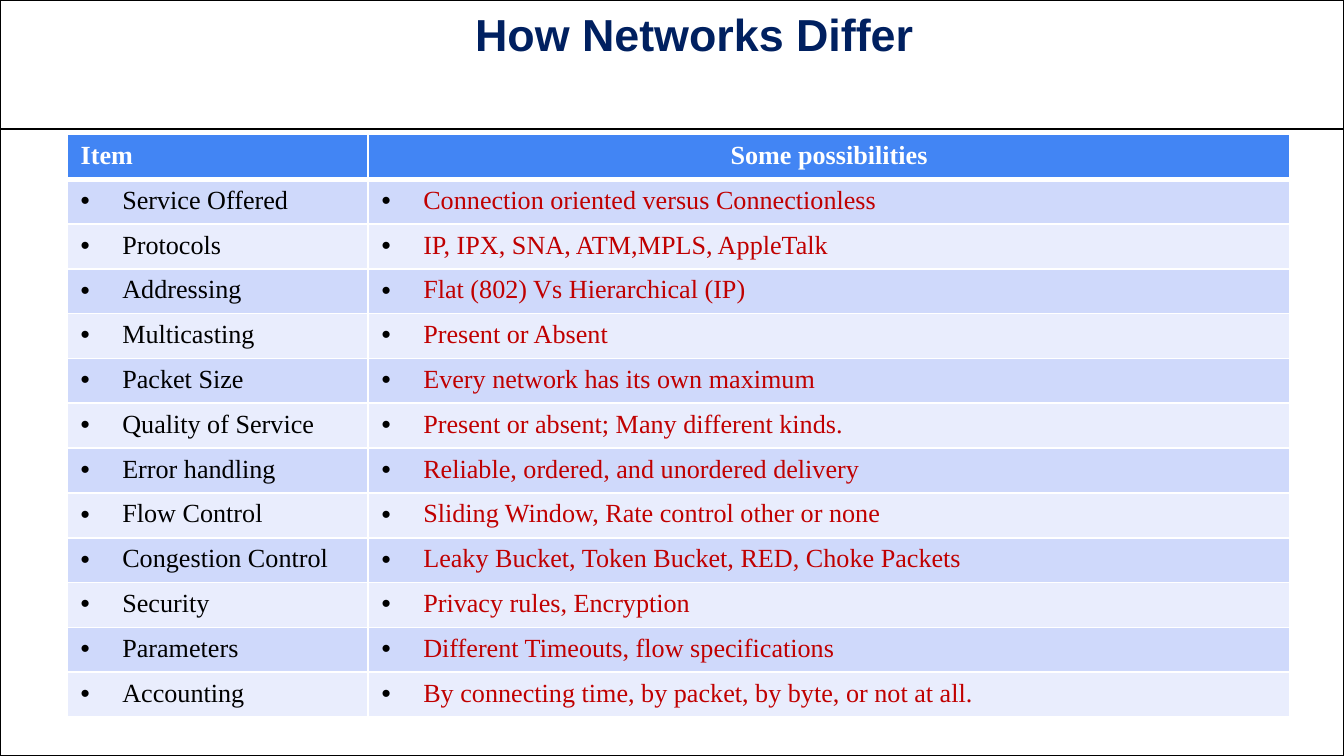
from lxml.etree import SubElement
from pptx import Presentation
from pptx.dml.color import RGBColor
from pptx.enum.shapes import MSO_CONNECTOR, MSO_SHAPE
from pptx.enum.text import MSO_ANCHOR, PP_ALIGN
from pptx.oxml import parse_xml
from pptx.oxml.ns import nsdecls, qn
from pptx.util import Inches, Pt

SLIDE_W = 10
SLIDE_H = SLIDE_W * 9 / 16
ROWS = [
    ("Service Offered", "Connection oriented versus Connectionless"),
    ("Protocols", "IP, IPX, SNA, ATM,MPLS, AppleTalk"),
    ("Addressing", "Flat (802) Vs Hierarchical (IP)"),
    ("Multicasting", "Present or Absent"),
    ("Packet Size", "Every network has its own maximum"),
    ("Quality of Service", "Present or absent; Many different kinds."),
    ("Error handling", "Reliable, ordered, and unordered delivery"),
    ("Flow Control", "Sliding Window, Rate control other or none"),
    ("Congestion Control", "Leaky Bucket, Token Bucket, RED, Choke Packets"),
    ("Security", "Privacy rules, Encryption"),
    ("Parameters", "Different Timeouts, flow specifications"),
    ("Accounting", "By connecting time, by packet, by byte, or not at all."),
]


def rgb(value):
    return RGBColor.from_string(value)


def write(tf, text, size=14, font="Times New Roman", color="000000",
          bold=False, align=PP_ALIGN.LEFT, bullet=False):
    p = tf.paragraphs[0]
    p.alignment = align
    r = p.add_run()
    r.text = text
    r.font.size, r.font.name, r.font.bold = Pt(size), font, bold
    r.font.color.rgb = rgb(color)
    if bullet:
        add_bullet(p)


def add_bullet(p, indent=0.31):
    pPr = p._p.get_or_add_pPr()
    pPr.set("marL", str(Inches(indent)))
    pPr.set("indent", str(-Inches(indent)))
    SubElement(SubElement(pPr, qn("a:buClr")), qn("a:srgbClr"), val="000000")
    SubElement(pPr, qn("a:buFont"), typeface="Arial")
    SubElement(pPr, qn("a:buChar"), char="•")


def style_cell(cell, fill, top=1, bottom=1):
    cell.fill.solid()
    cell.fill.fore_color.rgb = rgb(fill)
    tcPr = cell._tc.get_or_add_tcPr()
    sides = (("L", 1), ("R", 1), ("T", top), ("B", bottom))
    for i, (side, width) in enumerate(sides):
        tcPr.insert(i, parse_xml(
            f'<a:ln{side} {nsdecls("a")} w="{Pt(width)}"><a:solidFill>'
            f'<a:srgbClr val="FFFFFF"/></a:solidFill></a:ln{side}>'))


def add_frame(s, x, y, w, h, rule_y):
    # Outline around the slide
    frame = s.shapes.add_shape(MSO_SHAPE.RECTANGLE, Inches(x), Inches(y),
                               Inches(w), Inches(h))
    frame.shadow.inherit = False
    frame.fill.background()
    # Rule under the heading
    rule = s.shapes.add_connector(MSO_CONNECTOR.STRAIGHT, Inches(x), Inches(y + rule_y),
                                  Inches(x + w), Inches(y + rule_y))
    SubElement(rule._element.spPr, qn("a:effectLst"))
    for sp in (frame, rule):
        sp.line.color.rgb = rgb("000000")
        sp.line.width = Pt(1)


def add_title(s, text, x, y, w, h):
    title = s.shapes.title
    title.left, title.top = Inches(x), Inches(y)
    title.width, title.height = Inches(w), Inches(h)
    tf = title.text_frame
    tf.word_wrap = True
    tf.vertical_anchor = MSO_ANCHOR.MIDDLE
    write(tf, text, size=24, font="Arial", color="002060", bold=True,
          align=PP_ALIGN.CENTER)


def add_comparison(s, x, y, w, h, first_w):
    table = s.shapes.add_table(len(ROWS) + 1, 2, Inches(x), Inches(y),
                               Inches(w), Inches(h)).table
    table.columns[0].width = Inches(first_w)
    table.columns[1].width = Inches(w - first_w)
    # Header row
    headers = (("Item", PP_ALIGN.LEFT), ("Some possibilities", PP_ALIGN.CENTER))
    for col, (text, align) in enumerate(headers):
        cell = table.cell(0, col)
        style_cell(cell, "4285F4", bottom=3)
        write(cell.text_frame, text, color="FFFFFF", bold=True, align=align)
    # Banded body rows
    for row, texts in enumerate(ROWS, 1):
        fill = "CFD9FB" if row % 2 else "E9EDFD"
        for col, (text, color) in enumerate(zip(texts, ("000000", "C00000"))):
            cell = table.cell(row, col)
            style_cell(cell, fill, top=3 if row == 1 else 1)
            write(cell.text_frame, text, color=color, bullet=True)


def main():
    prs = Presentation()
    prs.slide_width, prs.slide_height = Inches(SLIDE_W), Inches(SLIDE_H)
    s = prs.slides.add_slide(prs.slide_layouts[5])
    add_frame(s, 0, 0, SLIDE_W, SLIDE_H, rule_y=0.96)
    add_title(s, "How Networks Differ", 1.67, 0, 6.99, 0.5)
    add_comparison(s, 0.5, 1, 9.1, 4.34, first_w=2.24)
    prs.save("out.pptx")


if __name__ == "__main__":
    main()
